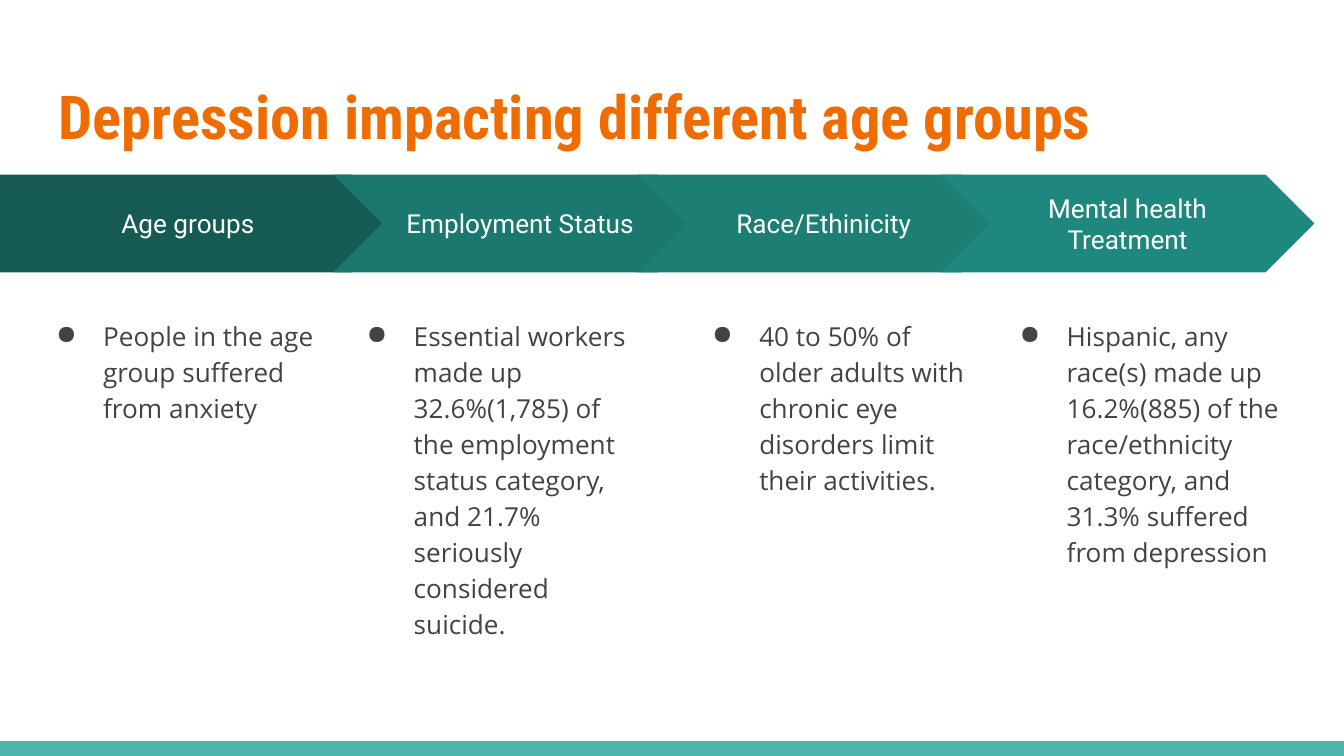
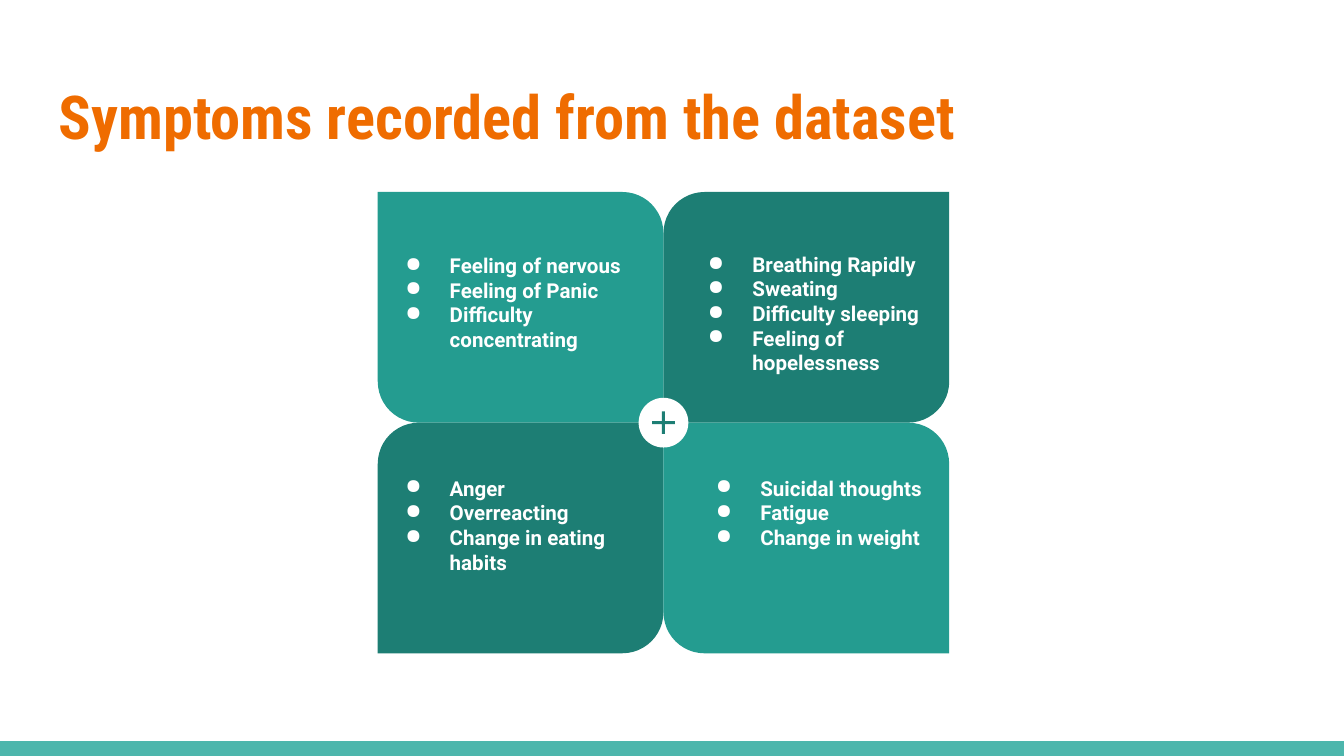
from pptx import Presentation
from pptx.dml.color import RGBColor
from pptx.enum import shapes, text
from pptx.oxml.ns import qn
from pptx.util import Cm, Pt
from lxml import etree

WHITE = RGBColor(0xFF, 0xFF, 0xFF)
ORANGE = RGBColor(0xEF, 0x6C, 0x00)
GREY = RGBColor(0x43, 0x43, 0x43)
FOOTER_TEAL = RGBColor(0x4D, 0xB6, 0xAC)
DARK_TEAL = RGBColor(0x1D, 0x7E, 0x74)
LIGHT_TEAL = RGBColor(0x24, 0x9C, 0x90)
STEP_TEALS = [RGBColor(0x15, 0x5B, 0x54), RGBColor(0x1B, 0x78, 0x6E),
              DARK_TEAL, RGBColor(0x1F, 0x88, 0x7E)]

INSET = Cm(0.25)
SLIDE_W, SLIDE_H = 25.4, 14.29
FOOTER_H = 0.28
STEP_TOP, STEP_W, STEP_H = 3.3, 7.06, 1.85
STEP_LEFT, STEP_PITCH = 6.3, 5.74
PANEL_LEFT, PANEL_TOP, PANEL_W, PANEL_H = 7.14, 3.63, 5.4, 4.36
CORNER = 0.178

# label, left and width of the body text, body text
STEPS = [
    ("Age groups", 0.43, 5.99,
     "People in the age group suffered from anxiety"),
    ("Employment Status", 6.3, 5.99,
     "Essential workers made up 32.6%(1,785) of the employment status "
     "category, and 21.7% seriously considered suicide."),
    ("Race/Ethinicity", 12.83, 5.97,
     "40 to 50% of older adults with chronic eye disorders limit their "
     "activities."),
    ("Mental health Treatment", 18.64, 6.17,
     "Hispanic, any race(s) made up 16.2%(885) of the race/ethnicity "
     "category, and 31.3% suffered from depression"),
]

# column, row, left, top and width of the list, symptoms
SYMPTOMS = [
    (1, 0, 12.7, 4.51, 5.23, ["Breathing Rapidly", "Sweating",
                              "Difficulty sleeping",
                              "Feeling of hopelessness"]),
    (0, 0, 6.98, 4.53, 5.08, ["Feeling of nervous", "Feeling of Panic",
                              "Difficulty concentrating"]),
    (0, 1, 6.98, 8.74, 5.54, ["Anger", "Overreacting",
                              "Change in eating habits"]),
    (1, 1, 12.85, 8.74, 5.82, ["Suicidal thoughts", "Fatigue",
                               "Change in weight"]),
]


def add_block(s, kind, left, top, width, height, fill, adjustments=()):
    sp = s.shapes.add_shape(kind, Cm(left), Cm(top), Cm(width), Cm(height))
    sp.shadow.inherit = False
    sp.fill.solid()
    sp.fill.fore_color.rgb = fill
    sp.line.fill.background()
    for i, value in enumerate(adjustments):
        sp.adjustments[i] = value
    return sp


def write(sp, lines, font, size, color, bold=False):
    """Fill a shape with one paragraph per line and return its text frame."""
    tf = sp.text_frame
    tf.word_wrap = True
    tf.margin_left = tf.margin_right = INSET
    tf.margin_top = tf.margin_bottom = INSET
    tf.text = "\n".join(lines)
    for p in tf.paragraphs:
        for r in p.runs:
            r.font.name = font
            r.font.size = Pt(size)
            r.font.bold = bold
            r.font.color.rgb = color
    return tf


def add_text(s, left, top, width, height, lines, *style):
    sp = s.shapes.add_textbox(Cm(left), Cm(top), Cm(width), Cm(height))
    return write(sp, lines, *style)


def set_bullets(tf, color, hanging):
    for p in tf.paragraphs:
        ppr = p._p.get_or_add_pPr()
        ppr.set("marL", str(Cm(1.27)))
        ppr.set("indent", str(-Cm(hanging)))
        clr = etree.SubElement(ppr, qn("a:buClr"))
        etree.SubElement(clr, qn("a:srgbClr"), val=str(color))
        etree.SubElement(ppr, qn("a:buChar"), char="●")


def add_titled_slide(prs, title):
    s = prs.slides.add_slide(prs.slide_layouts[6])
    add_block(s, shapes.MSO_SHAPE.RECTANGLE, 0, SLIDE_H - FOOTER_H,
              SLIDE_W, FOOTER_H, FOOTER_TEAL)
    add_text(s, 0.86, 1.24, 23.68, 1.96, [title],
             "Roboto Condensed", 32.4, ORANGE, True)
    return s


def add_step(s, i, label, left, width, body):
    """Add one arrow of the band and the bullet text below it."""
    if i == 0:
        kind, x, w = shapes.MSO_SHAPE.PENTAGON, 0, 7.57
    else:
        kind, w = shapes.MSO_SHAPE.CHEVRON, STEP_W
        x = STEP_LEFT + (i - 1) * STEP_PITCH
    sp = add_block(s, kind, x, STEP_TOP, w, STEP_H, STEP_TEALS[i], [0.5])
    tf = write(sp, [label], "Roboto", 14, WHITE)
    tf.vertical_anchor = text.MSO_ANCHOR.MIDDLE
    tf.paragraphs[0].alignment = text.PP_ALIGN.CENTER

    tf = add_text(s, left, 5.72, width, 7.26, [body], "Open Sans", 14, GREY)
    p = tf.paragraphs[0]
    p.line_spacing = 1.15
    p.space_before = Pt(12)
    set_bullets(tf, GREY, 0.89)


def add_panel(s, col, row, left, top, width, symptoms):
    """Add one quadrant; the diagonal pairs share colour and corners."""
    if col == row:
        fill, corners = LIGHT_TEAL, (0, CORNER)
    else:
        fill, corners = DARK_TEAL, (CORNER, 0)
    add_block(s, shapes.MSO_SHAPE.ROUND_2_DIAG_RECTANGLE,
              PANEL_LEFT + col * PANEL_W, PANEL_TOP + row * PANEL_H,
              PANEL_W, PANEL_H, fill, corners)
    tf = add_text(s, left, top, width, 1.27, symptoms,
                  "Roboto", 11, WHITE, True)
    set_bullets(tf, WHITE, 0.84)


def add_plus_badge(s):
    cx, cy = PANEL_LEFT + PANEL_W, PANEL_TOP + PANEL_H
    for kind, size, fill, adjustments in (
            (shapes.MSO_SHAPE.OVAL, 0.94, WHITE, ()),
            (shapes.MSO_SHAPE.MATH_PLUS, 0.58, DARK_TEAL, [0.099])):
        add_block(s, kind, cx - size / 2, cy - size / 2, size, size,
                  fill, adjustments)


def main():
    prs = Presentation()
    prs.slide_width, prs.slide_height = Cm(SLIDE_W), Cm(SLIDE_H)

    s = add_titled_slide(prs, "Depression impacting different age groups")
    for i, step in enumerate(STEPS):
        add_step(s, i, *step)

    s = add_titled_slide(prs, "Symptoms recorded from the dataset")
    for panel in SYMPTOMS:
        add_panel(s, *panel)
    add_plus_badge(s)

    prs.save("out.pptx")


if __name__ == "__main__":
    main()
